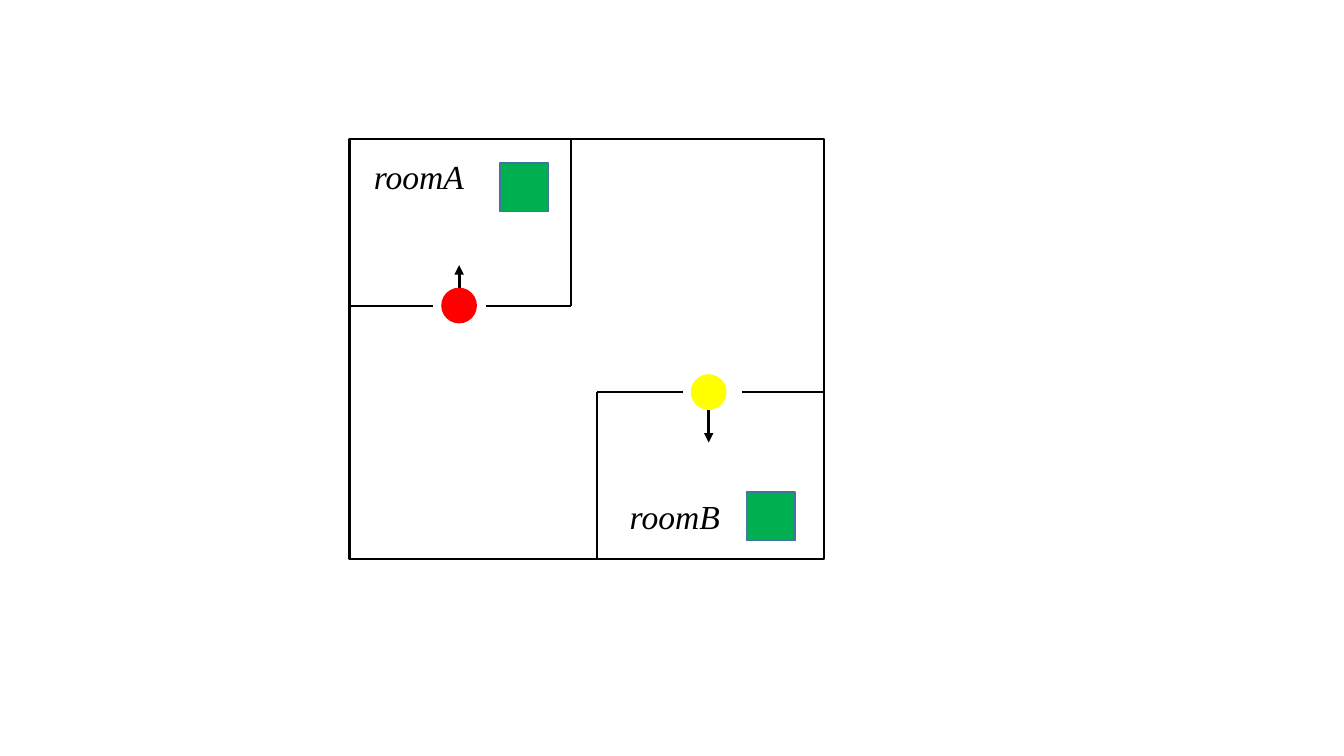
from lxml.etree import SubElement
from pptx import Presentation
from pptx.dml.color import RGBColor
from pptx.enum.shapes import MSO_CONNECTOR, MSO_SHAPE
from pptx.oxml.ns import qn
from pptx.util import Cm, Pt

BLACK = "000000"
WALL = 1.5
DOT = 0.9
BOX = 1.22


def color(code):
    return RGBColor.from_string(code)


def add_form(slide, kind, x, y, w, h, fill, edge=None, width=1):
    form = slide.shapes.add_shape(kind, Cm(x), Cm(y), Cm(w), Cm(h))
    form.shadow.inherit = False
    form.fill.solid()
    form.fill.fore_color.rgb = color(fill)
    if edge:
        form.line.color.rgb = color(edge)
        form.line.width = Pt(width)
    else:
        form.line.fill.background()


def add_line(slide, x1, y1, x2, y2, width=WALL):
    line = slide.shapes.add_connector(
        MSO_CONNECTOR.STRAIGHT, Cm(x1), Cm(y1), Cm(x2), Cm(y2))
    line.line.color.rgb = color(BLACK)
    line.line.width = Pt(width)
    SubElement(line._element.spPr, qn("a:effectLst"))
    return line


def add_arrow(slide, x, start, end):
    arrow = add_line(slide, x, start, x, end, 2.25)
    SubElement(arrow.line._get_or_add_ln(), qn("a:tailEnd"), type="triangle")


def add_label(slide, text, x, y):
    frame = slide.shapes.add_textbox(Cm(x), Cm(y), Cm(3.07), Cm(1.27)).text_frame
    frame.word_wrap = True
    para = frame.paragraphs[0]
    para.text = text
    para.font.name = "Times New Roman"
    para.font.size = Pt(24)
    para.font.italic = True
    para.font.color.rgb = color(BLACK)


def add_agent(slide, x, y, fill, tip):
    add_form(slide, MSO_SHAPE.OVAL, x - DOT / 2, y - DOT / 2, DOT, DOT, fill)
    edge = DOT / 2 if tip > y else -DOT / 2
    add_arrow(slide, x, y + edge, tip)


def add_goal(slide, x, y):
    add_form(slide, MSO_SHAPE.RECTANGLE, x, y, BOX, BOX, "00B050", "43739E")


def main():
    deck = Presentation()
    deck.slide_width, deck.slide_height = Cm(33.87), Cm(19.05)
    slide = deck.slides.add_slide(deck.slide_layouts[6])

    left, top, right, low = 8.81, 3.51, 20.77, 14.08
    add_form(slide, MSO_SHAPE.RECTANGLE, left, top, right - left, low - top,
             "FFFFFF", BLACK, WALL)

    side, door = 14.4, 7.7
    add_line(slide, left, door, 10.9, door)
    add_line(slide, 12.24, door, side, door)
    add_line(slide, side, top, side, door)
    add_label(slide, "roomA", 9.17, 3.81)
    add_agent(slide, 11.57, door, "FF0000", 6.68)
    add_goal(slide, 12.6, 4.11)

    side, door = 15.04, 9.88
    add_line(slide, side, door, 17.22, door)
    add_line(slide, 18.69, door, right, door)
    add_line(slide, side, door, side, low)
    add_label(slide, "roomB", 15.62, 12.37)
    add_agent(slide, 17.86, door, "FFFF00", 11.15)
    add_goal(slide, 18.82, 12.4)

    deck.save("out.pptx")


if __name__ == "__main__":
    main()
